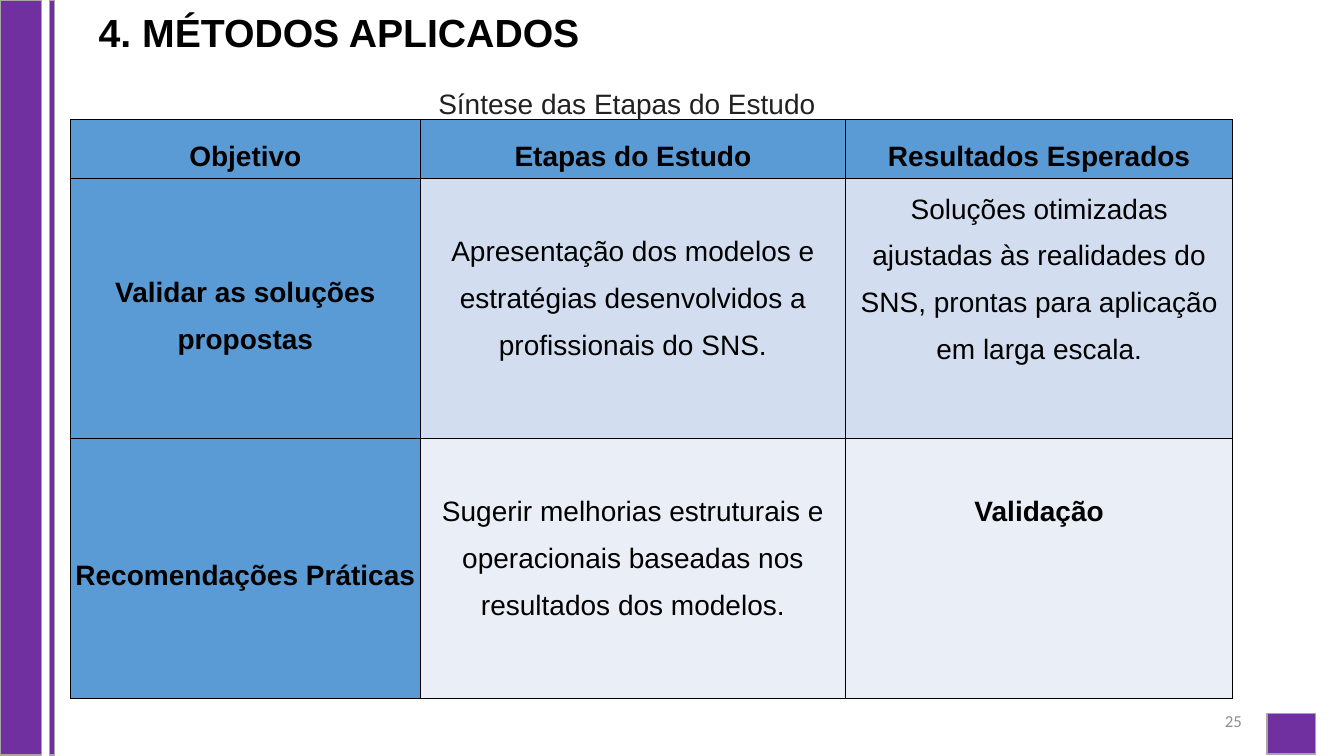
from dataclasses import dataclass

from lxml import etree
from pptx import Presentation
from pptx.dml.color import RGBColor
from pptx.enum.shapes import MSO_SHAPE
from pptx.enum.text import MSO_ANCHOR, PP_ALIGN
from pptx.oxml.ns import qn
from pptx.util import Pt

RECTANGLE = MSO_SHAPE.RECTANGLE
TOP, MIDDLE = MSO_ANCHOR.TOP, MSO_ANCHOR.MIDDLE
LEFT, CENTER, RIGHT = PP_ALIGN.LEFT, PP_ALIGN.CENTER, PP_ALIGN.RIGHT


@dataclass(frozen=True)
class Theme:
    purple: str = "7030A0"
    purple_edge: str = "A6A6A6"
    heading_fill: str = "5B9BD5"
    body_fills: tuple[str, ...] = ("D2DEEF", "EAEFF7")
    black: str = "000000"
    caption: str = "212121"
    page_number: str = "8C8C8C"
    font: str = "Arial"
    number_font: str = "Calibri"
    title_size: float = 28
    body_size: float = 20
    number_size: float = 12


@dataclass(frozen=True)
class Box:
    left: float
    top: float
    width: float
    height: float

    def lengths(self) -> tuple[Pt, Pt, Pt, Pt]:
        return Pt(self.left), Pt(self.top), Pt(self.width), Pt(self.height)


@dataclass(frozen=True)
class Entry:
    text: str
    bold: bool = False
    anchor: MSO_ANCHOR = TOP
    drop: float = 0


THEME = Theme()

PURPLE_BANDS = (
    Box(0, 0, 29.5, 539.3),
    Box(905, 509.8, 34.6, 28.8),
    Box(35.3, 0, 3.6, 539.3),
)

TABLE_BOX = Box(50.4, 85.5, 830.2, 413.5)
COLUMN_WIDTHS = (249.8, 303.9, 276.5)
ROW_HEIGHTS = (41.8, 185.8, 185.8)
SIDE_MARGIN = 2.2
DROP = 30.3


def heading(text: str) -> Entry:
    return Entry(text, bold=True, anchor=MIDDLE)


STUDY_STEPS = (
    (heading("Objetivo"), heading("Etapas do Estudo"), heading("Resultados Esperados")),
    (
        heading("Validar as soluções propostas"),
        Entry("Apresentação dos modelos e estratégias desenvolvidos a "
              "profissionais do SNS.", drop=DROP),
        Entry("Soluções otimizadas ajustadas às realidades do SNS, prontas "
              "para aplicação em larga escala."),
    ),
    (
        heading("Recomendações Práticas"),
        Entry("Sugerir melhorias estruturais e operacionais baseadas nos "
              "resultados dos modelos.", drop=DROP),
        Entry("Validação", bold=True, drop=DROP),
    ),
)


def rgb(value: str) -> RGBColor:
    return RGBColor.from_string(value)


def write(frame, text: str, *, size: float = THEME.body_size, font: str = THEME.font,
          color: str = THEME.black, bold: bool = False, align: PP_ALIGN = LEFT,
          spacing: float = 1.0, after: float = 0) -> None:
    frame.word_wrap = True
    paragraph = frame.paragraphs[0]
    paragraph.alignment = align
    paragraph.line_spacing = spacing
    paragraph.space_after = Pt(after)
    run = paragraph.add_run()
    run.text = text
    run.font.size = Pt(size)
    run.font.name = font
    run.font.bold = bold
    run.font.color.rgb = rgb(color)


def add_text(slide, box: Box, text: str, anchor: MSO_ANCHOR = TOP, **text_format) -> None:
    frame = slide.shapes.add_textbox(*box.lengths()).text_frame
    frame.vertical_anchor = anchor
    write(frame, text, **text_format)


def add_band(slide, box: Box) -> None:
    band = slide.shapes.add_shape(RECTANGLE, *box.lengths())
    band.shadow.inherit = False
    band.fill.solid()
    band.fill.fore_color.rgb = rgb(THEME.purple)
    band.line.color.rgb = rgb(THEME.purple_edge)
    band.line.width = Pt(1)


def add_borders(cell) -> None:
    properties = cell._tc.get_or_add_tcPr()
    for index, side in enumerate(("a:lnL", "a:lnR", "a:lnT", "a:lnB")):
        line = etree.Element(qn(side), w=str(Pt(1)))
        fill = etree.SubElement(line, qn("a:solidFill"))
        etree.SubElement(fill, qn("a:srgbClr"), val=THEME.black)
        properties.insert(index, line)


def fill_cell(cell, entry: Entry, fill: str) -> None:
    cell.margin_left = cell.margin_right = Pt(SIDE_MARGIN)
    cell.margin_top, cell.margin_bottom = Pt(entry.drop), Pt(0)
    cell.vertical_anchor = entry.anchor
    cell.fill.solid()
    cell.fill.fore_color.rgb = rgb(fill)
    add_borders(cell)
    write(cell.text_frame, entry.text, bold=entry.bold, align=CENTER,
          spacing=1.5, after=8)


def add_steps_table(slide) -> None:
    table = slide.shapes.add_table(
        len(ROW_HEIGHTS), len(COLUMN_WIDTHS), *TABLE_BOX.lengths()).table
    for column, width in zip(table.columns, COLUMN_WIDTHS):
        column.width = Pt(width)
    for row, height in zip(table.rows, ROW_HEIGHTS):
        row.height = Pt(height)
    for r, entries in enumerate(STUDY_STEPS):
        for c, entry in enumerate(entries):
            is_heading = r == 0 or c == 0
            fill = THEME.heading_fill if is_heading else THEME.body_fills[r - 1]
            fill_cell(table.cell(r, c), entry, fill)


def main() -> None:
    presentation = Presentation()
    presentation.slide_width, presentation.slide_height = Pt(960), Pt(540)
    slide = presentation.slides.add_slide(presentation.slide_layouts[6])

    # Purple side bands and corner block
    for box in PURPLE_BANDS:
        add_band(slide, box)

    # Study steps with their caption
    add_steps_table(slide)
    add_text(slide, Box(306, 58.3, 479.5, 31.7), "Síntese das Etapas do Estudo",
             color=THEME.caption)

    # Page number and title
    add_text(slide, Box(678.2, 500.4, 216, 28.8), "25", anchor=MIDDLE, align=RIGHT,
             size=THEME.number_size, font=THEME.number_font, color=THEME.page_number)
    add_text(slide, Box(63.4, 6.5, 493.2, 59.8), "4. MÉTODOS APLICADOS",
             size=THEME.title_size, bold=True, spacing=0.9)

    presentation.save("out.pptx")


if __name__ == "__main__":
    main()
